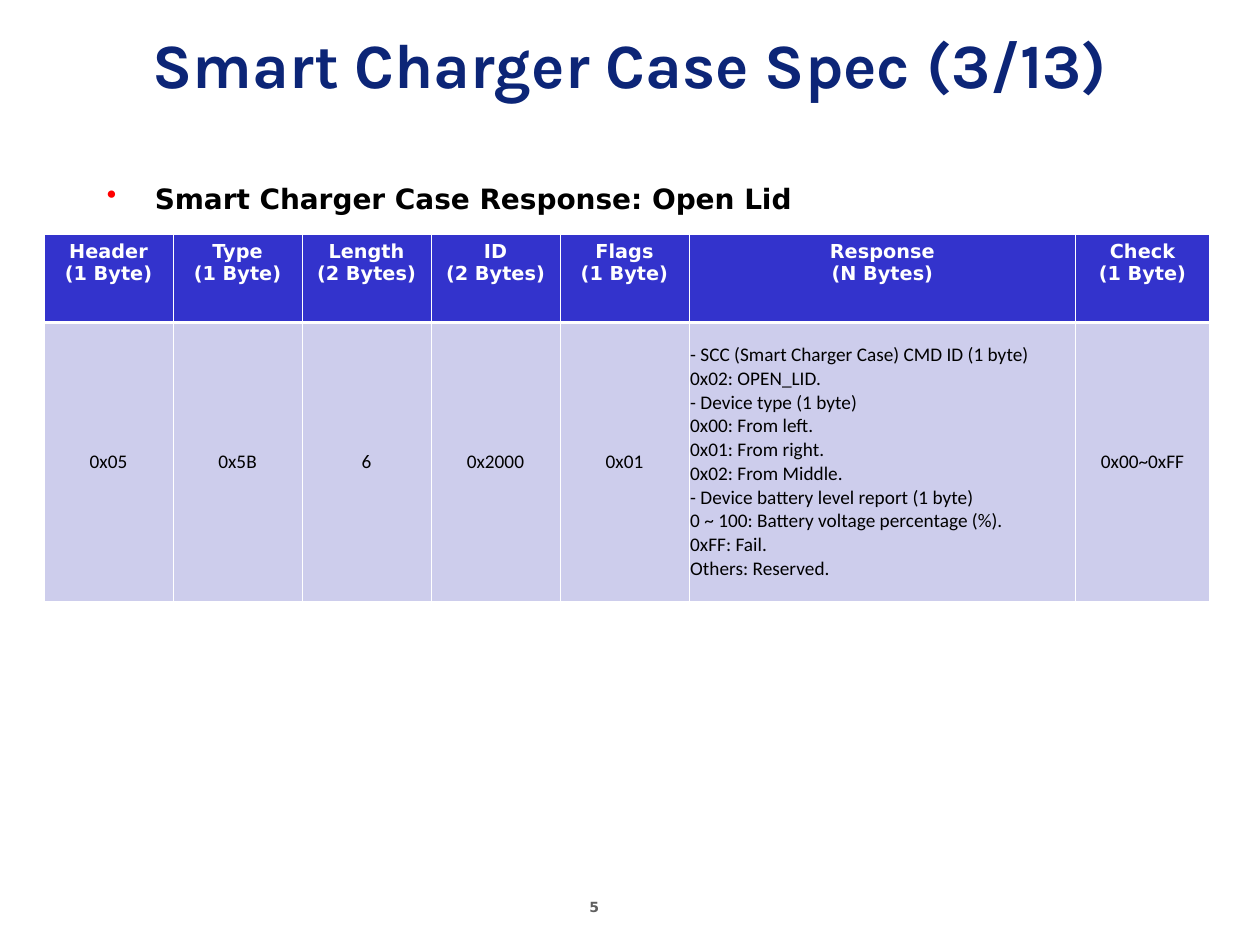
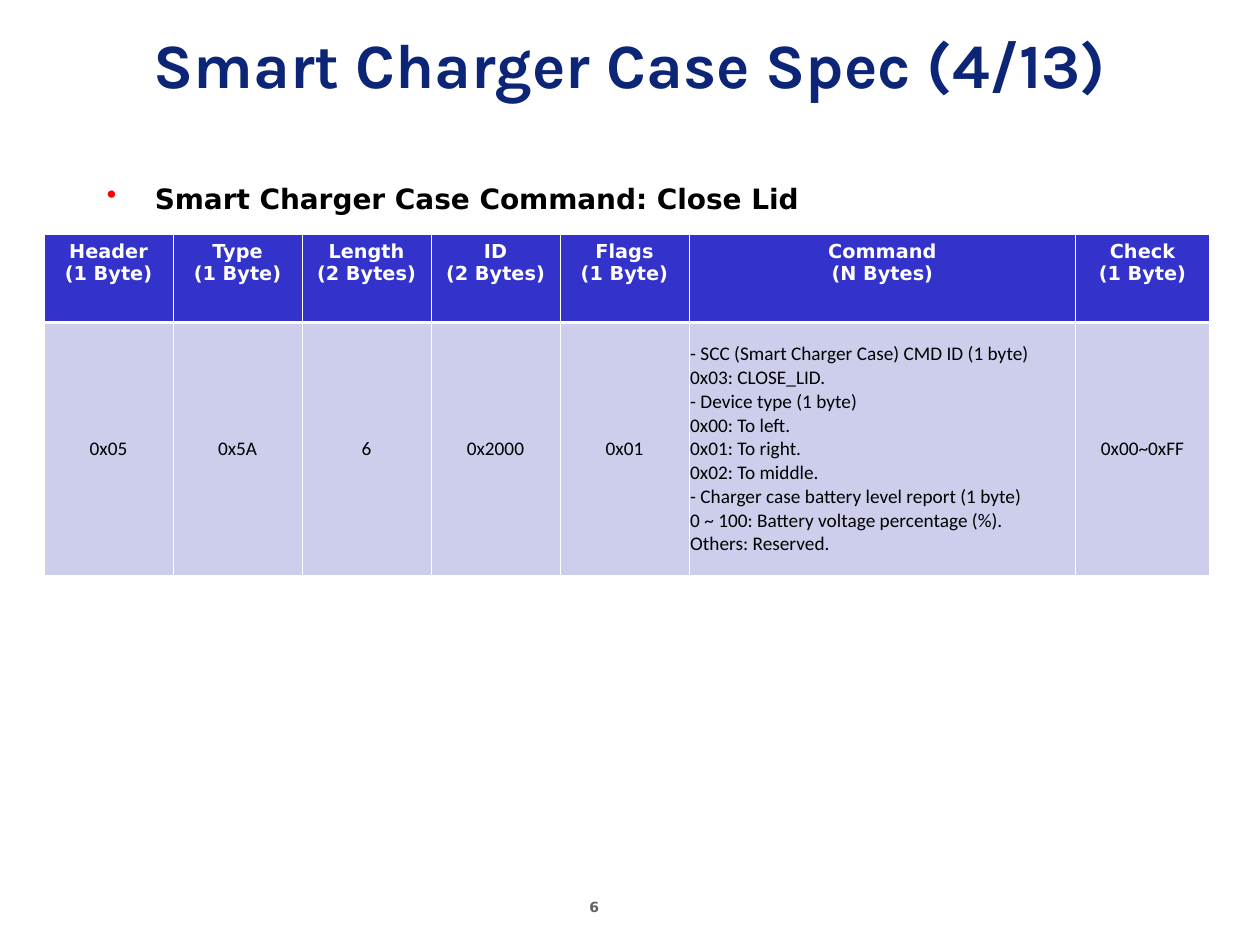
from pptx import Presentation
from pptx import util as u
from pptx.dml.color import RGBColor
from pptx.enum import text
from pptx.oxml import ns, xmlchemy

NAVY = RGBColor(0x0C, 0x25, 0x77)
BLUE = RGBColor(0x33, 0x33, 0xCC)
LILAC = RGBColor(0xCD, 0xCD, 0xEC)
RED = RGBColor(0xFF, 0x00, 0x00)
GREY = RGBColor(0x5F, 0x5F, 0x5F)
BLACK = RGBColor(0x00, 0x00, 0x00)
WHITE = RGBColor(0xFF, 0xFF, 0xFF)

TITLE_FONT = {"name": "Karla", "size": u.Pt(36), "bold": True, "color": NAVY}
HEADING_FONT = {"name": "DejaVu Sans", "size": u.Pt(16), "bold": True, "color": BLACK}
NUMBER_FONT = {"name": "DejaVu Sans", "size": u.Pt(8), "bold": True, "color": GREY}
HEADER_FONT = {"name": "DejaVu Sans", "size": u.Pt(11), "bold": True, "color": WHITE}
BODY_FONT = {"name": "Calibri", "size": u.Pt(11), "bold": False, "color": BLACK}

CENTER, LEFT = text.PP_ALIGN.CENTER, text.PP_ALIGN.LEFT
TOP, MIDDLE = text.MSO_ANCHOR.TOP, text.MSO_ANCHOR.MIDDLE

# Boxes: left, top, width, height in inches
TITLE_BOX = (0, 0, 10, 1)
HEADING_BOX = (0.75, 1.39, 9.25, 5.17)
NUMBER_BOX = (4.58, 7.08, 0.77, 0.26)

# Packet table
TABLE_LEFT, TABLE_TOP, TABLE_WIDTH = 0.35, 1.86, 9.25
PAYLOAD_COLUMN, PAYLOAD_WIDTH, CHECK_WIDTH = 5, 3.07, 1.06
HEADER_HEIGHT = 0.7
THIN, THICK = 0.45, 1.47

PACKETS = [
    {
        "number": 5, "part": 3, "kind": "Response", "action": "Open Lid",
        "type": "0x5B", "height": 2.21,
        "payload": [
            "- SCC (Smart Charger Case) CMD ID (1 byte)",
            "0x02: OPEN_LID.",
            "- Device type (1 byte)",
            "0x00: From left.",
            "0x01: From right.",
            "0x02: From Middle.",
            "- Device battery level report (1 byte)",
            "0 ~ 100: Battery voltage percentage (%).",
            "0xFF: Fail.",
            "Others: Reserved.",
        ],
    },
    {
        "number": 6, "part": 4, "kind": "Command", "action": "Close Lid",
        "type": "0x5A", "height": 2.01,
        "payload": [
            "- SCC (Smart Charger Case) CMD ID (1 byte)",
            "0x03: CLOSE_LID.",
            "- Device type (1 byte)",
            "0x00: To left.",
            "0x01: To right.",
            "0x02: To middle.",
            "- Charger case battery level report (1 byte)",
            "0 ~ 100: Battery voltage percentage (%).",
            "Others: Reserved.",
        ],
    },
]


def write_lines(frame, lines, font, align=LEFT):
    """Write one paragraph for each line."""
    for index, line in enumerate(lines):
        para = frame.paragraphs[0] if index == 0 else frame.add_paragraph()
        para.alignment = align
        span = para.add_run()
        span.text = line
        for name, value in font.items():
            if name == "color":
                span.font.color.rgb = value
            else:
                setattr(span.font, name, value)


def add_text(page, box, line, font, align=LEFT, anchor=TOP):
    frame = page.shapes.add_textbox(*map(u.Inches, box)).text_frame
    frame.word_wrap = True
    frame.vertical_anchor = anchor
    write_lines(frame, [line], font, align)
    return frame.paragraphs[0]


def add_heading(page, box, line):
    """Heading with a red bullet and a hanging indent."""
    para = add_text(page, box, line, HEADING_FONT)
    para.space_before = u.Pt(4)
    props = para._p.get_or_add_pPr()
    props.set("marL", str(u.Inches(0.38)))
    props.set("indent", str(u.Inches(-0.38)))
    color = xmlchemy.OxmlElement("a:buClr")
    color.append(xmlchemy.OxmlElement("a:srgbClr"))
    color[0].set("val", str(RED))
    bullet = xmlchemy.OxmlElement("a:buChar")
    bullet.set("char", "•")
    props.extend([color, bullet])


def set_borders(cell, widths):
    """White borders, widths in points by side."""
    props = cell._tc.get_or_add_tcPr()
    for side, width in widths.items():
        line = xmlchemy.OxmlElement(f"a:ln{side}")
        line.set("w", str(u.Pt(width)))
        fill = xmlchemy.OxmlElement("a:solidFill")
        fill.append(xmlchemy.OxmlElement("a:srgbClr"))
        fill[0].set("val", str(WHITE))
        line.append(fill)
        props.append(line)


def fill_cell(cell, lines, font, fill, borders, align=CENTER):
    set_borders(cell, borders)
    cell.fill.solid()
    cell.fill.fore_color.rgb = fill
    write_lines(cell.text_frame, lines, font, align)


def add_packet_table(page, left, top, width, packet):
    headers = [("Header", "(1 Byte)"), ("Type", "(1 Byte)"), ("Length", "(2 Bytes)"),
               ("ID", "(2 Bytes)"), ("Flags", "(1 Byte)"),
               (packet["kind"], "(N Bytes)"), ("Check", "(1 Byte)")]
    values = [["0x05"], [packet["type"]], ["6"], ["0x2000"], ["0x01"],
              packet["payload"], ["0x00~0xFF"]]
    heights = [HEADER_HEIGHT, packet["height"]]
    table = page.shapes.add_table(
        2, len(headers), *map(u.Inches, (left, top, width, sum(heights)))).table
    table.horz_banding = False

    # The short fields share the width left by the payload and the check
    field_width = (width - PAYLOAD_WIDTH - CHECK_WIDTH) / PAYLOAD_COLUMN
    widths = [field_width] * PAYLOAD_COLUMN + [PAYLOAD_WIDTH, CHECK_WIDTH]
    for column, column_width in zip(table.columns, widths):
        column.width = u.Inches(column_width)
    for row, height in zip(table.rows, heights):
        row.height = u.Inches(height)

    for index, (header, value) in enumerate(zip(headers, values)):
        fill_cell(table.cell(0, index), header, HEADER_FONT, BLUE,
                  {"L": THIN, "R": THIN, "T": THIN, "B": THICK})
        cell = table.cell(1, index)
        fill_cell(cell, value, BODY_FONT, LILAC,
                  {"L": THIN, "R": THIN, "T": THICK, "B": THIN},
                  LEFT if index == PAYLOAD_COLUMN else CENTER)
        cell.vertical_anchor = MIDDLE
        cell.margin_left = cell.margin_right = u.Inches(0.01)


def add_packet_page(deck, packet):
    page = deck.slides.add_slide(deck.slide_layouts[6])
    add_text(page, NUMBER_BOX, str(packet["number"]), NUMBER_FONT)
    add_text(page, TITLE_BOX, f"Smart Charger Case Spec ({packet['part']}/13)",
             TITLE_FONT, CENTER, MIDDLE)
    add_heading(page, HEADING_BOX,
                f"Smart Charger Case {packet['kind']}: {packet['action']}")
    add_packet_table(page, TABLE_LEFT, TABLE_TOP, TABLE_WIDTH, packet)


def main():
    deck = Presentation()
    deck.slide_width, deck.slide_height = u.Inches(10), u.Inches(7.5)
    for packet in PACKETS:
        add_packet_page(deck, packet)
    deck.save("out.pptx")


if __name__ == "__main__":
    main()
